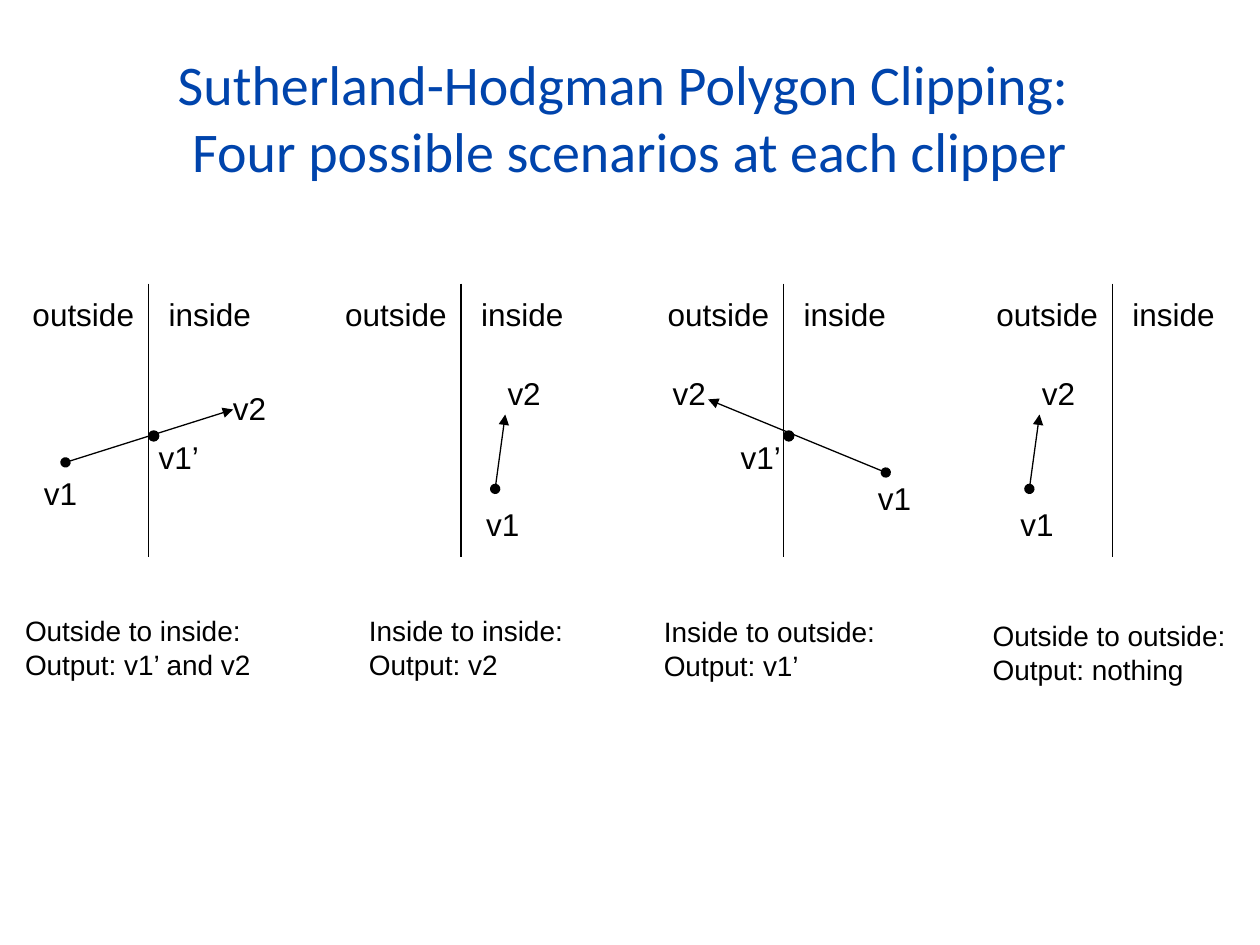
from pptx import Presentation
from pptx.dml.color import RGBColor
from pptx.enum.shapes import MSO_CONNECTOR, MSO_SHAPE
from pptx.enum.text import MSO_ANCHOR, MSO_AUTO_SIZE, PP_ALIGN
from pptx.oxml.ns import qn
from pptx.util import Inches, Pt
from lxml import etree

LINE = MSO_CONNECTOR.STRAIGHT
OVAL = MSO_SHAPE.OVAL
CENTER, LEFT = PP_ALIGN.CENTER, PP_ALIGN.LEFT
MIDDLE, TOP = MSO_ANCHOR.MIDDLE, MSO_ANCHOR.TOP
FIT = MSO_AUTO_SIZE.SHAPE_TO_FIT_TEXT
FIXED = MSO_AUTO_SIZE.NONE

COLORS = {"title": "0044AC", "ink": "000000", "page": "FFFFFF"}

TITLE = "Sutherland-Hodgman Polygon Clipping: \vFour possible scenarios at each clipper"
SIDES = "outside\tinside"

# Each scenario: clip edge x, edge vector, vertex labels (text, left, top),
# whether the edge crosses the clip line, caption lines and caption box
SCENARIOS = [
    {"clip": 1.18, "edge": ((0.52, 3.67), (1.85, 3.25)), "crosses": True,
     "labels": [("v1", 0.25, 3.71), ("v1’", 1.16, 3.43), ("v2", 1.75, 3.04)],
     "caption": ["Outside to inside:", "Output: v1’ and v2"], "at": (0.1, 4.82, 2.01)},
    {"clip": 3.66, "edge": ((3.93, 3.88), (4.01, 3.29)), "crosses": False,
     "labels": [("v1", 3.76, 3.96), ("v2", 3.93, 2.92)],
     "caption": ["Inside to inside:", "Output: v2"], "at": (2.83, 4.82, 1.74)},
    {"clip": 6.22, "edge": ((7.03, 3.75), (5.62, 3.17)), "crosses": True,
     "labels": [("v1", 6.87, 3.75), ("v1’", 5.78, 3.43), ("v2", 5.24, 2.92)],
     "caption": ["Inside to outside:", "Output: v1’"], "at": (5.17, 4.83, 1.88)},
    {"clip": 8.83, "edge": ((8.17, 3.88), (8.25, 3.29)), "crosses": False,
     "labels": [("v1", 8, 3.96), ("v2", 8.17, 2.92)],
     "caption": ["Outside to outside:", "Output: nothing"], "at": (7.78, 4.86, 2.06)},
]

CLIP_TOP, CLIP_BOTTOM = 2.25, 4.42
SIDES_OFFSET, SIDES_TOP, SIDES_WIDTH, INSIDE_TAB = -1.02, 2.29, 1.94, 1.08
LABEL_HEIGHT, CAPTION_HEIGHT = 0.4, 0.64
LABEL_WIDTHS = {"v1": 0.47, "v2": 0.47, "v1’": 0.52}
DOT_TOP, DOT_SIZE = 3.42, 0.08


def color(name):
    return RGBColor.from_string(COLORS[name])


def write(box, lines, size=18, font="Arial", ink="ink", align=LEFT,
          anchor=TOP, fit=FIT, tab=None):
    frame = box.text_frame
    frame.word_wrap = True
    frame.auto_size = fit
    frame.vertical_anchor = anchor
    frame.margin_left = frame.margin_right = Inches(0.1)
    frame.margin_top = frame.margin_bottom = Inches(0.05)
    for index, line in enumerate(lines):
        para = frame.paragraphs[0] if index == 0 else frame.add_paragraph()
        para.text = line
        para.alignment = align
        if tab:
            stops = etree.SubElement(para._p.get_or_add_pPr(), qn("a:tabLst"))
            etree.SubElement(stops, qn("a:tab"), pos=str(Inches(tab)), algn="l")
        for span in para.runs:
            span.font.name = font
            span.font.size = Pt(size)
            span.font.color.rgb = color(ink)


def add_text(page, lines, left, top, width, height, **style):
    box = page.shapes.add_textbox(Inches(left), Inches(top), Inches(width), Inches(height))
    write(box, lines, **style)


def add_line(page, start, end, arrow=False):
    line = page.shapes.add_connector(LINE, *(Inches(value) for value in (*start, *end)))
    line.line.color.rgb = color("ink")
    line.line.width = Pt(0.75)
    if arrow:
        outline = line.line._get_or_add_ln()
        etree.SubElement(outline, qn("a:headEnd"), type="oval")
        etree.SubElement(outline, qn("a:tailEnd"), type="triangle")
    etree.SubElement(line._element.spPr, qn("a:effectLst"))


def add_dot(page, left, top):
    dot = page.shapes.add_shape(OVAL, Inches(left), Inches(top),
                                Inches(DOT_SIZE), Inches(DOT_SIZE))
    dot.shadow.inherit = False
    dot.fill.solid()
    dot.fill.fore_color.rgb = color("ink")
    dot.line.color.rgb = color("ink")
    dot.line.width = Pt(0.75)


def add_scenario(page, scenario):
    clip = scenario["clip"]
    # Clip edge with its two sides
    add_line(page, (clip, CLIP_TOP), (clip, CLIP_BOTTOM))
    add_text(page, [SIDES], clip + SIDES_OFFSET, SIDES_TOP, SIDES_WIDTH,
             LABEL_HEIGHT, tab=INSIDE_TAB)
    # Polygon edge with its vertices
    add_line(page, *scenario["edge"], arrow=True)
    for text, left, top in scenario["labels"]:
        add_text(page, [text], left, top, LABEL_WIDTHS[text], LABEL_HEIGHT)
    if scenario["crosses"]:
        add_dot(page, clip, DOT_TOP)
    # Caption
    add_text(page, scenario["caption"], *scenario["at"], CAPTION_HEIGHT, size=16)


def main():
    deck = Presentation()
    deck.slide_width, deck.slide_height = Inches(10), Inches(7.5)
    page = deck.slides.add_slide(deck.slide_layouts[5])
    page.background.fill.solid()
    page.background.fill.fore_color.rgb = color("page")

    title = page.shapes.title
    title.left, title.top = Inches(0.5), Inches(0.3)
    title.width, title.height = Inches(9), Inches(1.25)
    write(title, [TITLE], size=32, font="Calibri", ink="title",
          align=CENTER, anchor=MIDDLE, fit=FIXED)

    for scenario in SCENARIOS:
        add_scenario(page, scenario)
    deck.save("out.pptx")


if __name__ == "__main__":
    main()
